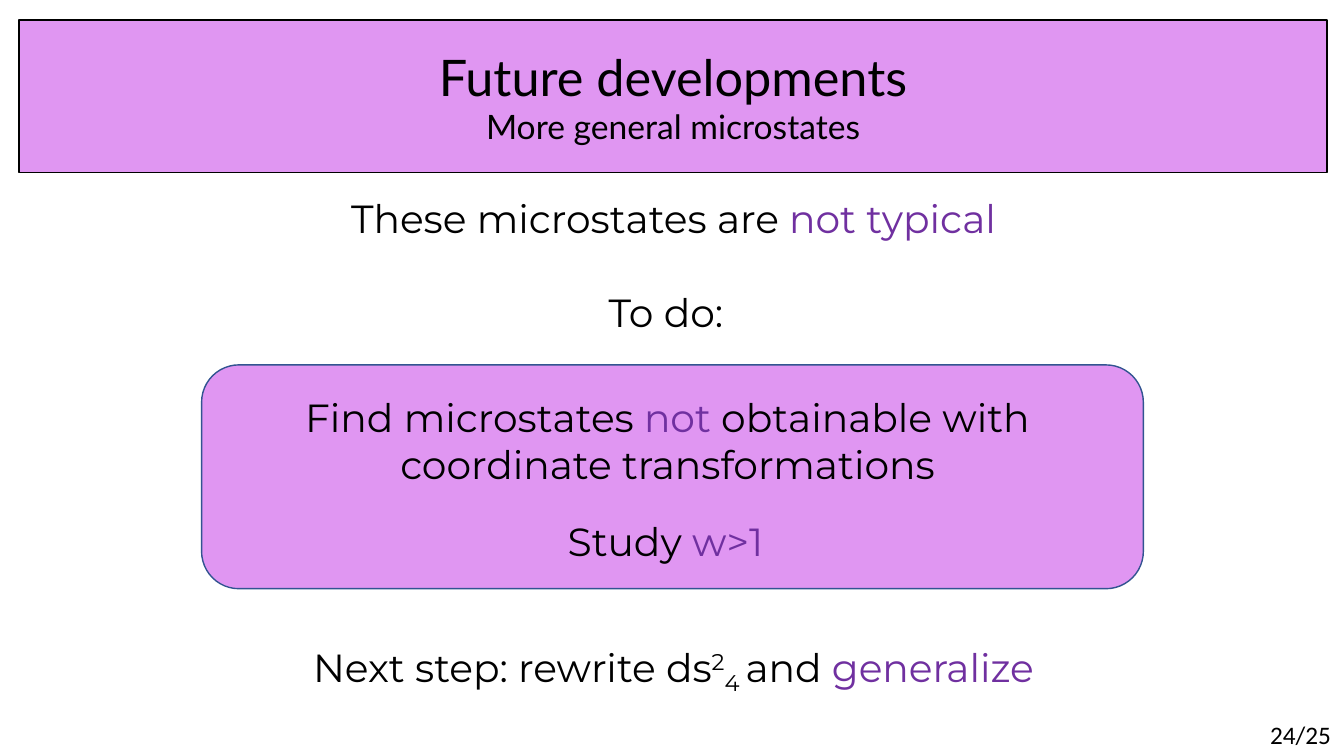
from pptx import Presentation
from pptx.dml.color import RGBColor
from pptx.enum.shapes import MSO_SHAPE
from pptx.enum.text import MSO_ANCHOR, MSO_AUTO_SIZE, PP_ALIGN
from pptx.util import Inches, Pt

BLACK, PURPLE, ORCHID, BLUE = "000000", "7030A0", "E096F2", "325491"

TITLE_BOX = (0.19, 0.2, 12.97, 1.51)
TITLE_LINES = [("Future developments", 36), ("More general microstates", 24)]
PANEL_BOX = (2, 3.62, 9.34, 2.22)

STATEMENTS = [
    ((2.9, 1.88, 7.56, 0.57),
     [("These microstates are ", BLACK, 0), ("not typical", PURPLE, 0)]),
    ((5.81, 2.81, 1.59, 0.57), [("To do:", BLACK, 0)]),
    ((5.36, 5.08, 2.48, 0.57), [("Study ", BLACK, 0), ("w>1", PURPLE, 0)]),
    ((2.43, 3.85, 8.38, 1.04),
     [("Find microstates ", BLACK, 0), ("not ", PURPLE, 0),
      ("obtainable with coordinate transformations", BLACK, 0)]),
    ((2.49, 6.33, 8.38, 0.57),
     [("Next step: rewrite ds", BLACK, 0), ("2", BLACK, 30), ("4 ", BLACK, -25),
      ("and ", BLACK, 0), ("generalize", PURPLE, 0)]),
]
PAGE_BOX = (12.5, 7.09, 0.84, 0.4)
PAGE_RUNS = [("24/25", BLACK, 0)]

TITLE_FORMAT = {"name": "Lato"}
STATEMENT_FORMAT = {"name": "Montserrat", "size": Pt(28)}
PAGE_FORMAT = {"name": "Calibri", "size": Pt(18)}


def color(value):
    return RGBColor.from_string(value)


def set_format(target, values):
    for name, value in values.items():
        setattr(target, name, value)


def paint(shape, line_color):
    shape.fill.solid()
    shape.fill.fore_color.rgb = color(ORCHID)
    shape.line.color.rgb = color(line_color)
    shape.line.width = Pt(1)


def add_run(paragraph, text, text_color, baseline, font_format):
    run = paragraph.add_run()
    run.text = text
    set_format(run.font, font_format)
    run.font.color.rgb = color(text_color)
    if baseline:
        run.font._element.set("baseline", str(baseline * 1000))


def add_text(slide, box, runs, font_format, alignment):
    frame = slide.shapes.add_textbox(*map(Inches, box)).text_frame
    frame.word_wrap = True
    paragraph = frame.paragraphs[0]
    paragraph.alignment = alignment
    for text, text_color, baseline in runs:
        add_run(paragraph, text, text_color, baseline, font_format)


def add_title(slide):
    title = slide.shapes.title
    set_format(title, dict(zip(("left", "top", "width", "height"), map(Inches, TITLE_BOX))))
    paint(title, BLACK)
    frame = title.text_frame
    set_format(frame, {"auto_size": MSO_AUTO_SIZE.NONE, "word_wrap": True,
                       "vertical_anchor": MSO_ANCHOR.MIDDLE})
    for index, (text, size) in enumerate(TITLE_LINES):
        paragraph = frame.add_paragraph() if index else frame.paragraphs[0]
        paragraph.alignment = PP_ALIGN.CENTER
        add_run(paragraph, text, BLACK, 0, {**TITLE_FORMAT, "size": Pt(size)})


def main():
    presentation = Presentation()
    presentation.slide_width = Inches(13.33)
    presentation.slide_height = Inches(7.5)
    slide = presentation.slides.add_slide(presentation.slide_layouts[5])
    add_title(slide)
    panel = slide.shapes.add_shape(MSO_SHAPE.ROUNDED_RECTANGLE, *map(Inches, PANEL_BOX))
    panel.shadow.inherit = False
    paint(panel, BLUE)
    for box, runs in STATEMENTS:
        add_text(slide, box, runs, STATEMENT_FORMAT, PP_ALIGN.CENTER)
    add_text(slide, PAGE_BOX, PAGE_RUNS, PAGE_FORMAT, PP_ALIGN.LEFT)
    presentation.save("out.pptx")


if __name__ == "__main__":
    main()
